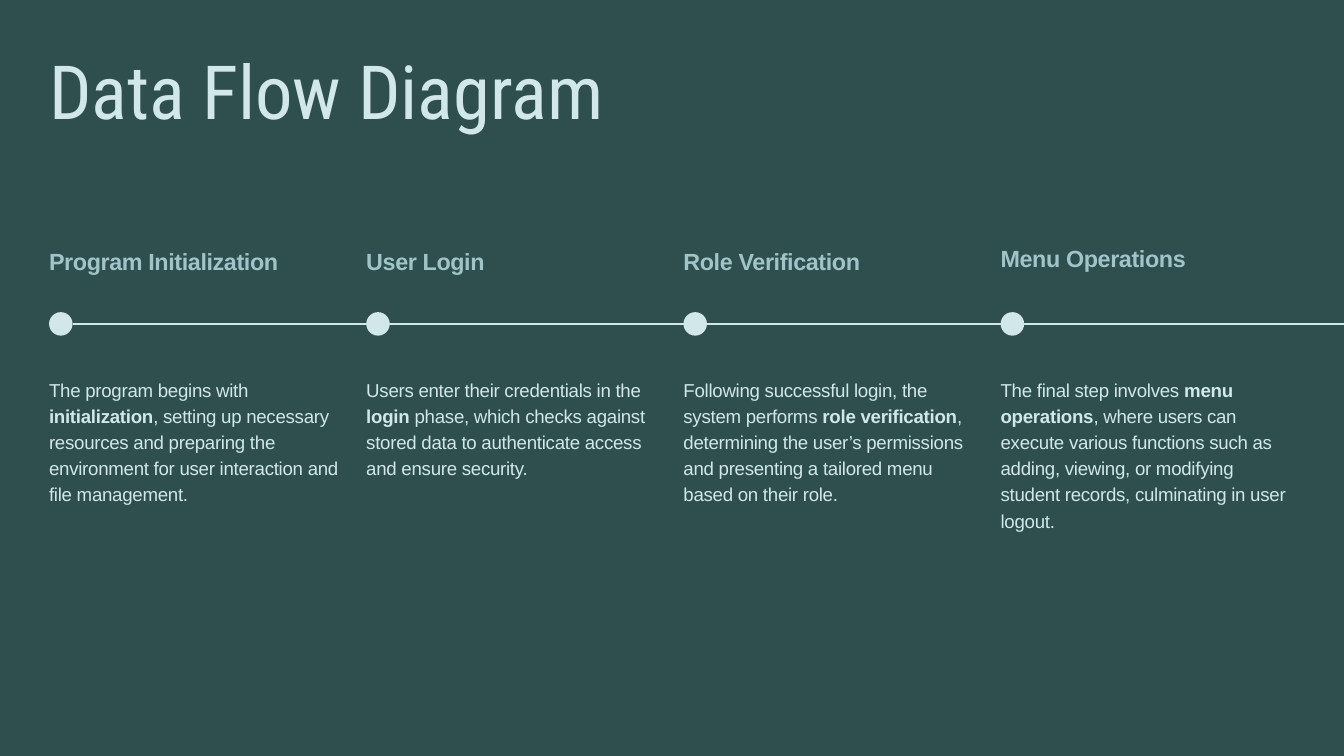
from lxml import etree
from pptx import Presentation
from pptx import util as u
from pptx.dml.color import RGBColor
from pptx.enum import shapes, text
from pptx.oxml.ns import qn

THEME = {
    "background": RGBColor.from_string("2F4F4F"),
    "light": RGBColor.from_string("D1E7E9"),
    "muted": RGBColor.from_string("A1C4C9"),
    "title": {"font": "Roboto Condensed", "size": 80, "leading": 80, "tracking": 0},
    "heading": {"font": "Arial", "size": 25, "leading": 30, "tracking": -0.4},
    "body": {"font": "Arial", "size": 20, "leading": 28, "tracking": -0.3},
}

TITLE = "Data Flow Diagram"
STEPS = [
    {"heading": "Program Initialization", "heading_top": 3.68, "body": (
        "The program begins with ", "initialization",
        ", setting up necessary resources and preparing the environment "
        "for user interaction and file management.")},
    {"heading": "User Login", "heading_top": 3.68, "body": (
        "Users enter their credentials in the ", "login",
        " phase, which checks against stored data to authenticate access "
        "and ensure security.")},
    {"heading": "Role Verification", "heading_top": 3.68, "body": (
        "Following successful login, the system performs ", "role verification",
        ", determining the user’s permissions and presenting a tailored menu "
        "based on their role.")},
    {"heading": "Menu Operations", "heading_top": 3.63, "body": (
        "The final step involves ", "menu operations",
        ", where users can execute various functions such as adding, viewing, "
        "or modifying student records, culminating in user logout.")},
]

SLIDE_W, SLIDE_H = 20, 11.25
LEFT, PITCH, COLUMN_W = 0.73, 4.72, 4.38
TIMELINE_Y, DOT = 4.82, 0.35
BODY_TOP, BODY_H, HEADING_H = 5.58, 1.95, 0.43


def place(part, left, top, width, height):
    part.left, part.top = u.Inches(left), u.Inches(top)
    part.width, part.height = u.Inches(width), u.Inches(height)


def write(part, pieces, style, color, bold=False):
    frame = part.text_frame
    frame.word_wrap = True
    frame.auto_size = text.MSO_AUTO_SIZE.NONE
    frame.vertical_anchor = text.MSO_ANCHOR.TOP
    frame.margin_left = frame.margin_right = 0
    frame.margin_top = frame.margin_bottom = 0
    paragraph = frame.paragraphs[0]
    paragraph.alignment = text.PP_ALIGN.LEFT
    paragraph.line_spacing = u.Pt(style["leading"])
    paragraph.font.name = style["font"]
    paragraph.font.size = u.Pt(style["size"])
    paragraph.font.color.rgb = color
    paragraph.font.bold = bold
    for index, piece in enumerate(pieces):
        run = paragraph.add_run()
        run.text = piece
        if index == 1:
            run.font.bold = True
        if style["tracking"]:
            run._r.get_or_add_rPr().set("spc", str(round(style["tracking"] * 100)))


def add_timeline(slide):
    y = u.Inches(TIMELINE_Y)
    timeline = slide.shapes.add_connector(
        shapes.MSO_CONNECTOR.STRAIGHT, u.Inches(LEFT + DOT), y, u.Inches(SLIDE_W), y)
    timeline.line.color.rgb = THEME["light"]
    timeline.line.width = u.Pt(1.5)
    etree.SubElement(timeline._element.spPr, qn("a:effectLst"))


def add_step(slide, step, left):
    heading = slide.shapes.add_textbox(0, 0, 0, 0)
    place(heading, left, step["heading_top"], COLUMN_W, HEADING_H)
    write(heading, [step["heading"]], THEME["heading"], THEME["muted"], bold=True)

    dot = slide.shapes.add_shape(shapes.MSO_SHAPE.OVAL, 0, 0, 0, 0)
    place(dot, left, TIMELINE_Y - DOT / 2, DOT, DOT)
    dot.shadow.inherit = False
    dot.fill.solid()
    dot.fill.fore_color.rgb = THEME["light"]
    dot.line.fill.background()

    body = slide.shapes.add_textbox(0, 0, 0, 0)
    place(body, left, BODY_TOP, COLUMN_W, BODY_H)
    write(body, step["body"], THEME["body"], THEME["light"])


def main():
    deck = Presentation()
    deck.slide_width, deck.slide_height = u.Inches(SLIDE_W), u.Inches(SLIDE_H)
    slide = deck.slides.add_slide(deck.slide_layouts[5])
    slide.background.fill.solid()
    slide.background.fill.fore_color.rgb = THEME["background"]

    title = slide.shapes.title
    place(title, LEFT, 0.89, SLIDE_W - 2 * LEFT, 1.17)
    write(title, [TITLE], THEME["title"], THEME["light"])

    add_timeline(slide)
    for index, step in enumerate(STEPS):
        add_step(slide, step, LEFT + index * PITCH)
    deck.save("out.pptx")


if __name__ == "__main__":
    main()
